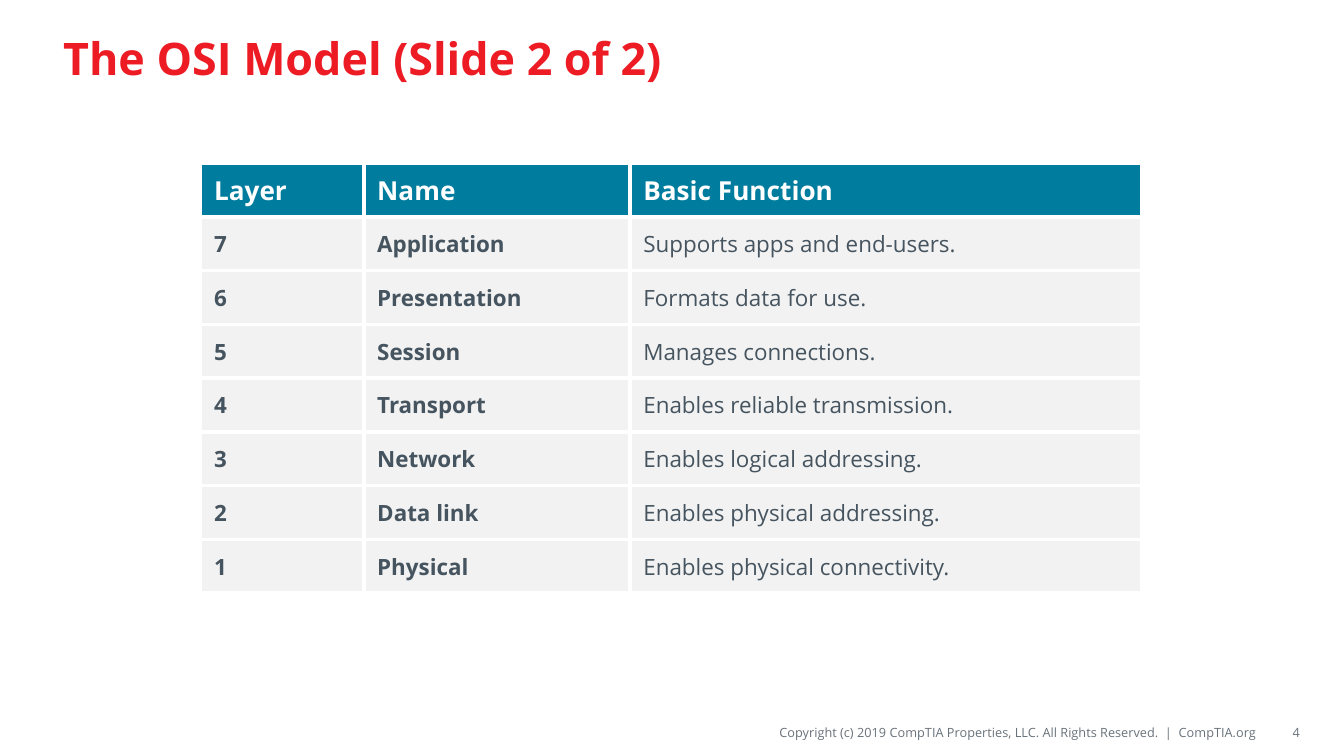
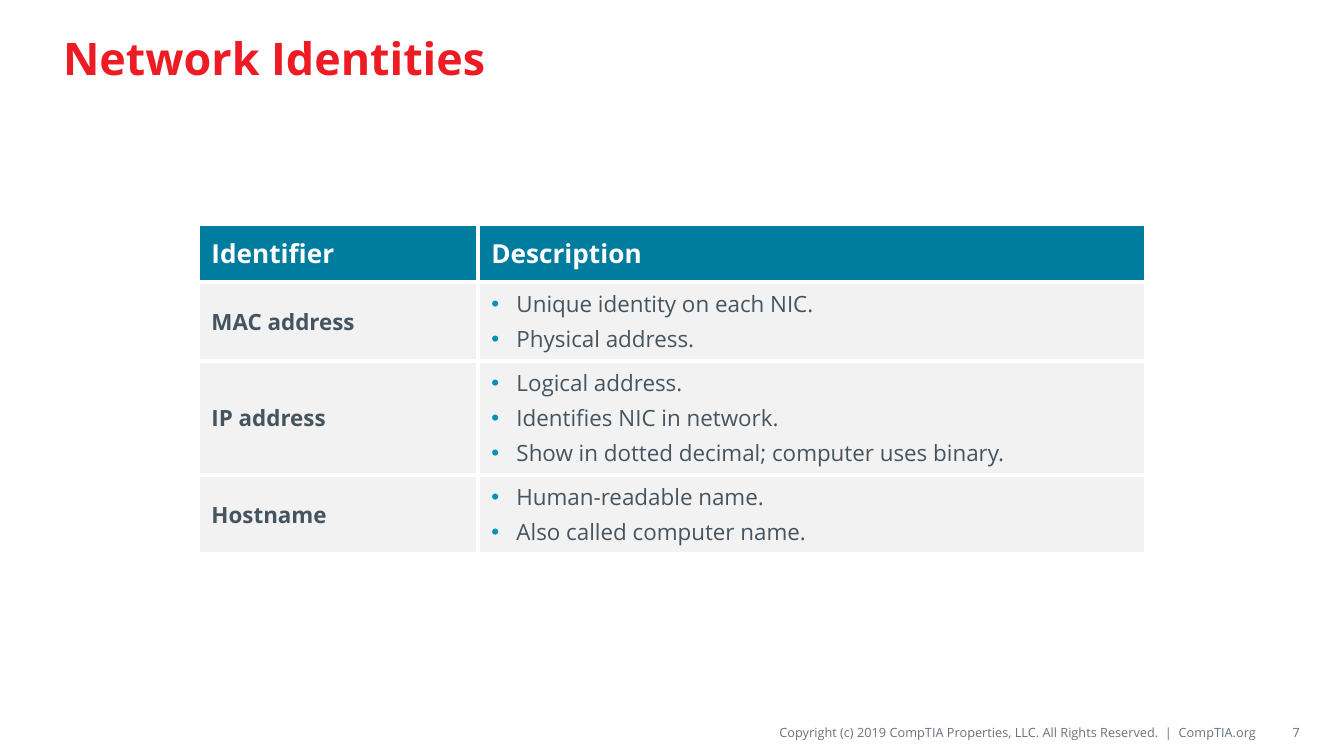
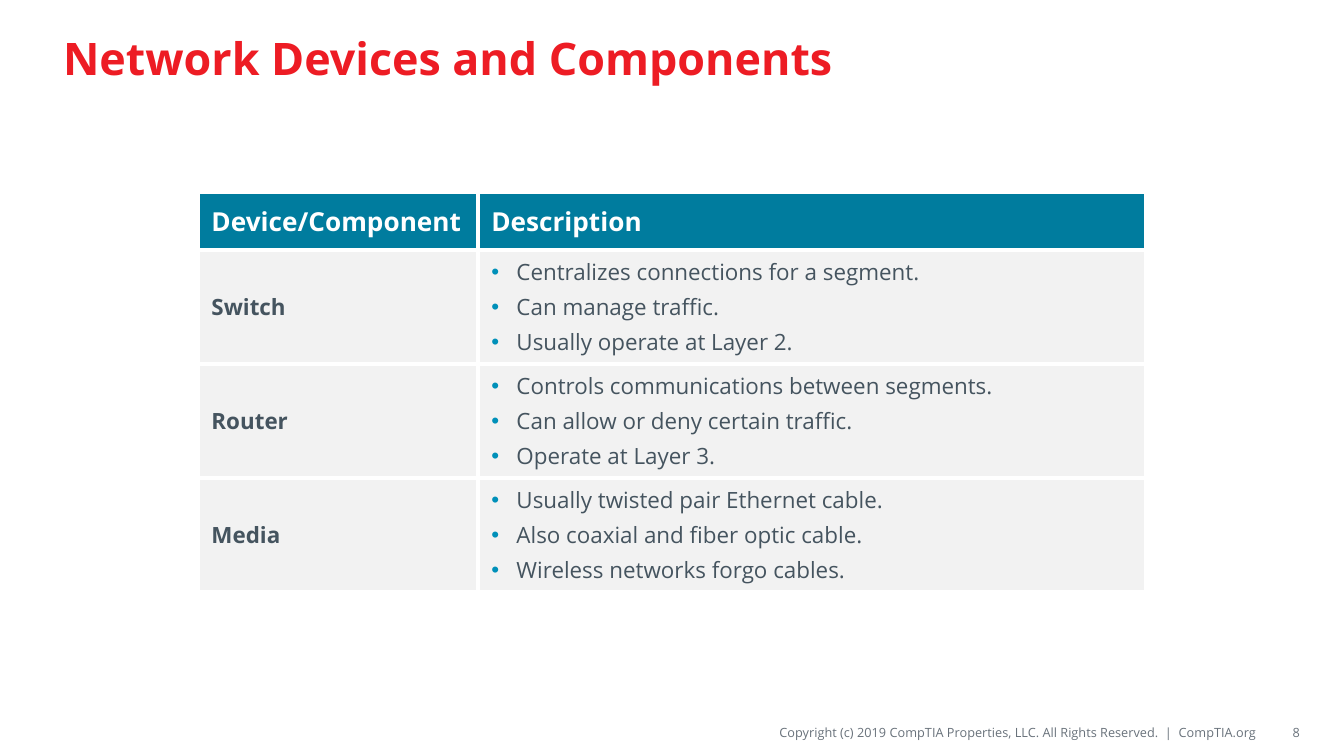
from lxml import etree
from pptx import Presentation
from pptx.dml.color import RGBColor
from pptx.enum.text import MSO_ANCHOR, PP_ALIGN
from pptx.oxml.ns import qn
from pptx.util import Pt

MIDDLE = MSO_ANCHOR.MIDDLE
LEFT, RIGHT = PP_ALIGN.LEFT, PP_ALIGN.RIGHT
TITLE_ONLY = 5

FONT = "Open Sans"
RED, TEAL, BULLET_BLUE = "ED1C24", "007C9E", "0090B9"
SLATE, FOOTER_GRAY, PALE, WHITE = "45545F", "69727B", "F2F2F2", "FFFFFF"
COPYRIGHT = "Copyright (c) 2019 CompTIA Properties, LLC. All Rights Reserved.  |  CompTIA.org"

HEADER_SIZE, BODY_SIZE = 14, 12
BULLET_INDENT = 13.5
LINE_PITCH = 18.74
ROW_PADDING = 4.8
BORDER_WIDTH = 2.25

OSI_ROWS = [
    ("Layer", "Name", "Basic Function"),
    ("7", "Application", "Supports apps and end-users."),
    ("6", "Presentation", "Formats data for use."),
    ("5", "Session", "Manages connections."),
    ("4", "Transport", "Enables reliable transmission."),
    ("3", "Network", "Enables logical addressing."),
    ("2", "Data link", "Enables physical addressing."),
    ("1", "Physical", "Enables physical connectivity."),
]
IDENTITY_ROWS = [
    ("Identifier", "Description"),
    ("MAC address", ["Unique identity on each NIC.", "Physical address."]),
    ("IP address", ["Logical address.", "Identifies NIC in network.",
                    "Show in dotted decimal; computer uses binary."]),
    ("Hostname", ["Human-readable name.", "Also called computer name."]),
]
DEVICE_ROWS = [
    ("Device/Component", "Description"),
    ("Switch", ["Centralizes connections for a segment.", "Can manage traffic.",
                "Usually operate at Layer 2."]),
    ("Router", ["Controls communications between segments.",
                "Can allow or deny certain traffic.", "Operate at Layer 3."]),
    ("Media", ["Usually twisted pair Ethernet cable.",
               "Also coaxial and fiber optic cable.", "Wireless networks forgo cables."]),
]


def rgb(value):
    return RGBColor.from_string(value)


def style(paragraph, size, color, bold=False, align=LEFT):
    paragraph.alignment = align
    font = paragraph.font
    font.name, font.size, font.bold = FONT, Pt(size), bold
    font.color.rgb = rgb(color)


def add_bullet(paragraph):
    properties = paragraph._p.get_or_add_pPr()
    properties.set("marL", str(Pt(BULLET_INDENT)))
    properties.set("indent", str(-Pt(BULLET_INDENT)))
    tint = etree.SubElement(properties, qn("a:buClr"))
    etree.SubElement(tint, qn("a:srgbClr"), val=BULLET_BLUE)
    etree.SubElement(properties, qn("a:buFont"), typeface="Arial")
    etree.SubElement(properties, qn("a:buChar"), char="•")


def add_borders(cell):
    properties = cell._tc.get_or_add_tcPr()
    for side in ("lnL", "lnR", "lnT", "lnB"):
        line = etree.SubElement(properties, qn(f"a:{side}"), w=str(Pt(BORDER_WIDTH)))
        fill = etree.SubElement(line, qn("a:solidFill"))
        etree.SubElement(fill, qn("a:srgbClr"), val=WHITE)


def fill_cell(cell, content, header, bold):
    add_borders(cell)
    cell.fill.solid()
    cell.fill.fore_color.rgb = rgb(TEAL if header else PALE)
    cell.vertical_anchor = MIDDLE
    bulleted = isinstance(content, list)
    cell.text_frame.text = "\n".join(content) if bulleted else content
    size, color = (HEADER_SIZE, WHITE) if header else (BODY_SIZE, SLATE)
    for index, paragraph in enumerate(cell.text_frame.paragraphs):
        if bulleted:
            add_bullet(paragraph)
        if index:
            paragraph.space_before = Pt(0.2 * size)
        style(paragraph, size, color, bold)


def add_grid(slide, left, top, widths, heights, rows):
    table = slide.shapes.add_table(len(rows), len(widths), Pt(left), Pt(top),
                                   Pt(sum(widths)), Pt(sum(heights))).table
    table.horz_banding = False
    for column, width in zip(table.columns, widths):
        column.width = Pt(width)
    for r, (contents, height) in enumerate(zip(rows, heights)):
        table.rows[r].height = Pt(height)
        for c, content in enumerate(contents):
            header = r == 0
            fill_cell(table.cell(r, c), content, header, header or c < len(widths) - 1)


def add_description_table(slide, top, rows):
    heights = [31] + [ROW_PADDING + LINE_PITCH * len(points) for _, points in rows[1:]]
    add_grid(slide, 106.1, top, [149.9, 358.1], heights, rows)


def add_footer_text(slide, text, left, width, inset_left, inset_y):
    box = slide.shapes.add_textbox(Pt(left), Pt(384.5), Pt(width), Pt(15.8))
    frame = box.text_frame
    frame.word_wrap = True
    frame.vertical_anchor = MIDDLE
    frame.margin_left, frame.margin_right = Pt(inset_left), 0
    frame.margin_top = frame.margin_bottom = Pt(inset_y)
    frame.text = text
    style(frame.paragraphs[0], 6.8, FOOTER_GRAY, align=RIGHT)


def add_titled_slide(deck, heading, number):
    slide = deck.slides.add_slide(deck.slide_layouts[TITLE_ONLY])
    title = slide.shapes.title
    title.left, title.top, title.width, title.height = Pt(26.6), Pt(5.8), Pt(666), Pt(49.7)
    title.text_frame.text = heading
    title.text_frame.vertical_anchor = MIDDLE
    style(title.text_frame.paragraphs[0], 24, RED, True)
    add_footer_text(slide, COPYRIGHT, 279.4, 393.8, 0, 2.9)
    add_footer_text(slide, number, 675.4, 20.9, 7.2, 3.6)
    return slide


def main():
    deck = Presentation()
    deck.slide_width, deck.slide_height = Pt(720), Pt(405)

    osi = add_titled_slide(deck, "The OSI Model (Slide 2 of 2)", "4")
    add_grid(osi, 107.5, 87.4, [87.4, 142.6, 274.3], [28.8] * len(OSI_ROWS), OSI_ROWS)

    identities = add_titled_slide(deck, "Network Identities", "7")
    add_description_table(identities, 120.2, IDENTITY_ROWS)

    devices = add_titled_slide(deck, "Network Devices and Components", "8")
    add_description_table(devices, 103, DEVICE_ROWS)

    deck.save("out.pptx")


if __name__ == "__main__":
    main()
